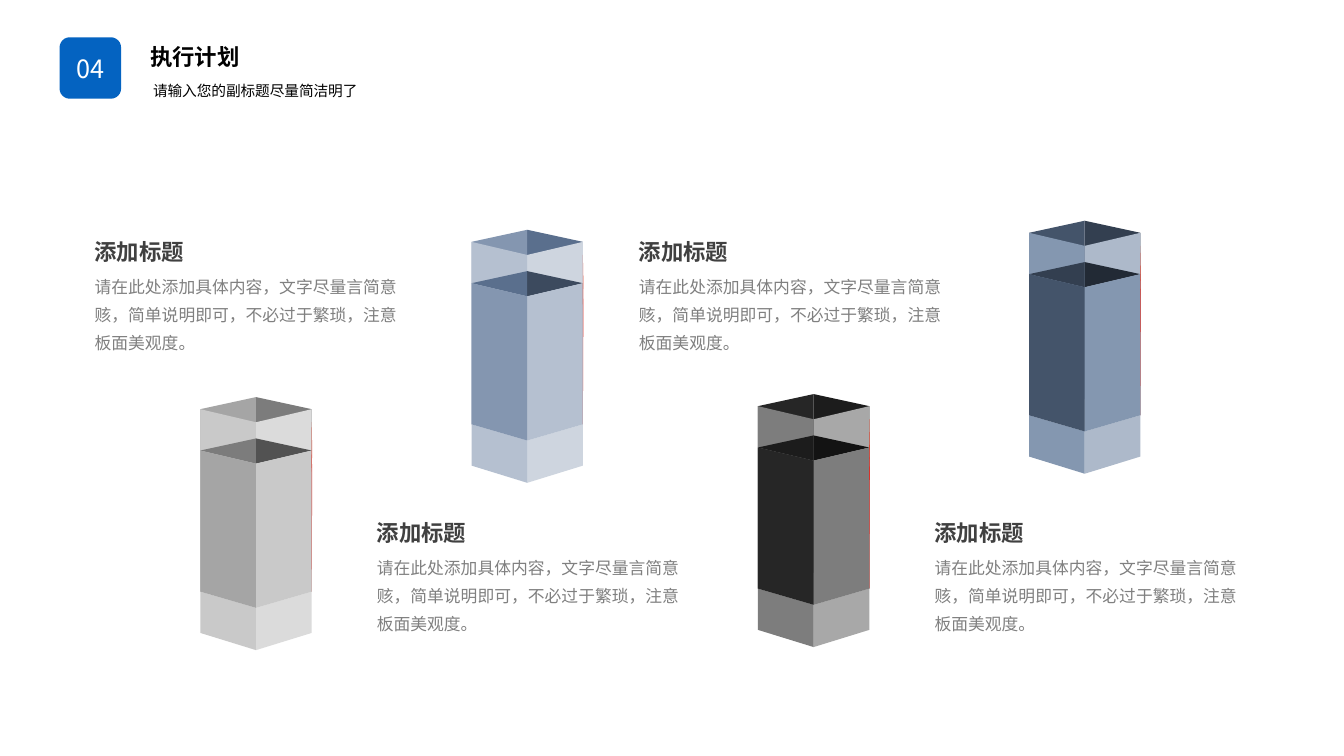
import pptx
import pptx.util
import pptx.dml.color
import pptx.enum.shapes
import pptx.enum.text
import pptx.oxml.ns
import lxml.etree
from dataclasses import dataclass


@dataclass(frozen=True)
class Theme:
    font: str = "Noto Sans CJK SC"
    badge: str = "0463C1"
    white: str = "FFFFFF"
    title: str = "000000"
    heading: str = "404040"
    body: str = "808080"
    title_size: float = 16
    subtitle_size: float = 10.5
    body_size: float = 12
    badge_size: float = 18
    body_leading: float = 20


THEME = Theme()
WIDTH, HEIGHT = pptx.util.Inches(13.33), pptx.util.Inches(7.5)

NUMBER = "04"
TITLE = "执行计划"
SUBTITLE = "请输入您的副标题尽量简洁明了"
HEADING = "添加标题"
BODY = "请在此处添加具体内容，文字尽量言简意赅，简单说明即可，不必过于繁琐，注意板面美观度。"

BADGE_BOX = (4.43, 4.93, 4.58, 8.13)
TITLE_BOX = (10.43, 4.4, 10.95, 5.07)
SUBTITLE_BOX = (10.65, 9.73, 21.83, 3.73)
HEADING_SIZE = (11.25, 4.93)
BODY_SIZE = (25.13, 12)
BODY_DROP = 4.13
NOTES = [(6.3, 30.8), (27.3, 68), (46.8, 30.8), (68.8, 68)]

TONES = ("base", "dark", "deep", "light", "pale")
PILLARS = [
    (19.05, 52.53, ("A5A5A5", "7C7C7C", "525252", "C9C9C9", "DBDBDB")),
    (39.23, 30.4, ("8496B0", "5A6F8D", "3C4A5E", "B5C0D0", "CED5DF")),
    (60.54, 52.13, ("262626", "1C1C1C", "131313", "7D7D7D", "A8A8A8")),
    (80.71, 29.2, ("44546A", "333F50", "222A35", "8497B0", "ADB9CA")),
]
HALF_WIDTH = 4.14
FACES = [
    ("base", "dark", [(1, 25.73), (0, 23.6), (0, 0), (1, 1.6)]),
    ("light", "pale", [(0, 27.87), (1, 25.73), (1, 1.6), (0, 3.33)]),
    ("dark", "deep", [(0, 5.47), (0, 8.8), (1, 7.07)]),
    ("light", "pale", [(0, 27.87), (0, 33.47), (1, 31.2), (1, 25.73)]),
    ("base", "light", [(0, 8.8), (0, 27.87), (1, 25.73), (1, 7.07)]),
]
EDGES = [
    ("DA4531", [(1, 3.33), (1.01, 7.07), (1, 9.87)]),
    ("D9322A", [(1, 7.07), (1, 25.73), (1.01, 9.87)]),
]


def across(share):
    return round(WIDTH * share / 100)


def down(share):
    return round(HEIGHT * share / 100)


def place(box):
    x, y, w, h = box
    return across(x), down(y), across(w), down(h)


def paint(sp, color):
    sp.shadow.inherit = False
    sp.fill.solid()
    sp.fill.fore_color.rgb = pptx.dml.color.RGBColor.from_string(color)
    sp.line.fill.background()


def write(sp, text, size, color, bold=False, spacing=None):
    tf = sp.text_frame
    tf.word_wrap = True
    tf.text = text
    p = tf.paragraphs[0]
    if spacing:
        p.line_spacing = spacing
    r = p.runs[0]
    r.font.size = pptx.util.Pt(size)
    r.font.bold = bold
    r.font.color.rgb = pptx.dml.color.RGBColor.from_string(color)
    r.font.name = THEME.font
    ea = lxml.etree.SubElement(r.font._element, pptx.oxml.ns.qn("a:ea"))
    ea.set("typeface", THEME.font)
    return p


def add_text(slide, box, *style, **options):
    sp = slide.shapes.add_textbox(*place(box))
    write(sp, *style, **options)
    sp.text_frame.auto_size = pptx.enum.text.MSO_AUTO_SIZE.SHAPE_TO_FIT_TEXT


def add_face(group, center, top, side, outline, color):
    points = [(across(center + side * x * HALF_WIDTH), down(top + y))
              for x, y in outline]
    builder = group.shapes.build_freeform(*points[0], scale=1.0)
    builder.add_line_segments(points[1:], close=True)
    paint(builder.convert_to_shape(), color)


def add_pillar(slide, center, top, colors):
    tones = dict(zip(TONES, colors))
    group = slide.shapes.add_group_shape()
    for left, right, outline in FACES:
        for side, tone in ((1, right), (-1, left)):
            add_face(group, center, top, side, outline, tones[tone])
    for color, outline in EDGES:
        add_face(group, center, top, 1, outline, color)


def add_header(slide):
    sp = slide.shapes.add_shape(
        pptx.enum.shapes.MSO_SHAPE.ROUNDED_RECTANGLE, *place(BADGE_BOX))
    paint(sp, THEME.badge)
    p = write(sp, NUMBER, THEME.badge_size, THEME.white)
    p.alignment = pptx.enum.text.PP_ALIGN.CENTER
    sp.text_frame.vertical_anchor = pptx.enum.text.MSO_ANCHOR.MIDDLE
    add_text(slide, SUBTITLE_BOX, SUBTITLE, THEME.subtitle_size, THEME.title,
             spacing=1.2)
    add_text(slide, TITLE_BOX, TITLE, THEME.title_size, THEME.title,
             bold=True, spacing=1.2)


def main():
    prs = pptx.Presentation()
    prs.slide_width, prs.slide_height = WIDTH, HEIGHT
    slide = prs.slides.add_slide(prs.slide_layouts[6])
    for pillar in PILLARS:
        add_pillar(slide, *pillar)
    for x, y in NOTES:
        add_text(slide, (x, y + BODY_DROP, *BODY_SIZE), BODY, THEME.body_size,
                 THEME.body, spacing=pptx.util.Pt(THEME.body_leading))
        add_text(slide, (x, y, *HEADING_SIZE), HEADING, THEME.title_size,
                 THEME.heading, bold=True)
    add_header(slide)
    prs.save("out.pptx")


if __name__ == "__main__":
    main()
